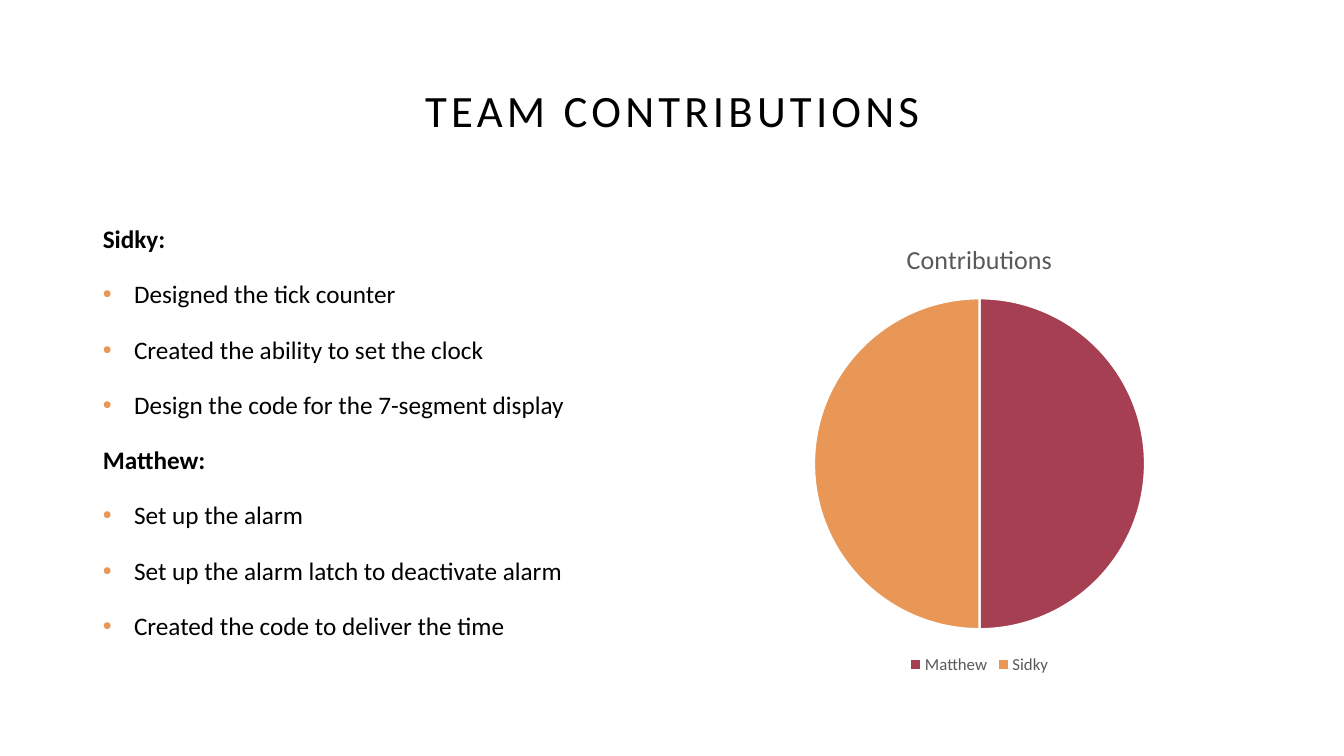
from lxml import etree
from pptx import Presentation
from pptx.chart.data import CategoryChartData
from pptx.dml.color import RGBColor
from pptx.enum.chart import XL_CHART_TYPE, XL_LEGEND_POSITION
from pptx.enum.text import MSO_ANCHOR, MSO_AUTO_SIZE, PP_ALIGN
from pptx.oxml.ns import qn
from pptx.util import Pt

PIE = XL_CHART_TYPE.PIE
LEGEND_BOTTOM = XL_LEGEND_POSITION.BOTTOM
TOP, MIDDLE = MSO_ANCHOR.TOP, MSO_ANCHOR.MIDDLE
NO_AUTOFIT = MSO_AUTO_SIZE.NONE
LEFT, CENTER = PP_ALIGN.LEFT, PP_ALIGN.CENTER

EMU_PER_PX = 9144
FONT = "Calibri"
BLACK, GRAY, WHITE = "000000", "595959", "FFFFFF"
SHARES = {"Matthew": (50, "A53F51"), "Sidky": (50, "E89756")}
BULLET_COLOR = "E89756"
BULLET_INDENT = 31
TASKS = {
    "Sidky:": [
        "Designed the tick counter",
        "Created the ability to set the clock",
        "Design the code for the 7-segment display",
    ],
    "Matthew:": [
        "Set up the alarm",
        "Set up the alarm latch to deactivate alarm",
        "Created the code to deliver the time",
    ],
}


def px(length):
    return length * EMU_PER_PX


def color(hex_value):
    return RGBColor.from_string(hex_value)


def style_font(font, size, hex_value, bold=False):
    font.name = FONT
    font.size = Pt(size)
    font.bold = bold
    font.color.rgb = color(hex_value)


def write(paragraph, text, size=18, hex_value=BLACK, bold=False, align=LEFT,
          gap=0, tracking=0):
    paragraph.alignment = align
    paragraph.line_spacing = 0.9
    paragraph.space_before = paragraph.space_after = Pt(gap)
    run = paragraph.add_run()
    run.text = text
    style_font(run.font, size, hex_value, bold)
    if tracking:
        run._r.get_or_add_rPr().set("spc", str(tracking * 100))


def set_bullet(paragraph, shown):
    properties = paragraph._p.get_or_add_pPr()
    indent = px(BULLET_INDENT) if shown else 0
    properties.set("marL", str(indent))
    properties.set("indent", str(-indent))
    if not shown:
        etree.SubElement(properties, qn("a:buNone"))
        return
    bullet_color = etree.SubElement(properties, qn("a:buClr"))
    etree.SubElement(bullet_color, qn("a:srgbClr"), val=BULLET_COLOR)
    etree.SubElement(properties, qn("a:buFont"), typeface="Arial")
    etree.SubElement(properties, qn("a:buChar"), char="•")


def place(placeholder, box, anchor):
    placeholder.left, placeholder.top, placeholder.width, placeholder.height = map(px, box)
    frame = placeholder.text_frame
    frame.word_wrap = True
    frame.auto_size = NO_AUTOFIT
    frame.vertical_anchor = anchor
    return frame


def add_heading(slide, box):
    frame = place(slide.shapes.title, box, MIDDLE)
    write(frame.paragraphs[0], "TEAM CONTRIBUTIONS", size=32, align=CENTER, tracking=3)


def add_tasks(slide, box):
    frame = place(slide.placeholders[1], box, TOP)
    lines = [(text, text == member)
             for member, tasks in TASKS.items() for text in [member, *tasks]]
    for index, (text, is_member) in enumerate(lines):
        paragraph = frame.add_paragraph() if index else frame.paragraphs[0]
        write(paragraph, text, bold=is_member, gap=10)
        set_bullet(paragraph, not is_member)


def add_contributions(slide, box):
    data = CategoryChartData()
    data.categories = list(SHARES)
    data.add_series("Contributions", [share for share, _ in SHARES.values()])
    chart = slide.shapes.add_chart(PIE, *map(px, box), data).chart
    style_font(chart.font, 10, BLACK)

    chart.has_title = True
    heading = chart.chart_title
    heading.include_in_layout = False
    heading.text_frame.text = "Contributions"
    style_font(heading.text_frame.paragraphs[0].runs[0].font, 18.6, GRAY)

    chart.has_legend = True
    chart.legend.position = LEGEND_BOTTOM
    chart.legend.include_in_layout = False
    style_font(chart.legend.font, 12, GRAY)

    pie = chart.plots[0]
    pie.vary_by_categories = True
    for index, (_, slice_color) in enumerate(SHARES.values()):
        slice_format = pie.series[0].points[index].format
        slice_format.fill.solid()
        slice_format.fill.fore_color.rgb = color(slice_color)
        slice_format.line.color.rgb = color(WHITE)
        slice_format.line.width = Pt(1.5)


def main():
    deck = Presentation()
    deck.slide_width, deck.slide_height = px(1333), px(750)
    slide = deck.slides.add_slide(deck.slide_layouts[1])
    slide.background.fill.solid()
    slide.background.fill.fore_color.rgb = color(WHITE)
    add_heading(slide, (92, 40, 1150, 145))
    add_tasks(slide, (92, 220, 577, 454))
    add_contributions(slide, (638, 220, 667, 453))
    deck.save("out.pptx")


if __name__ == "__main__":
    main()
